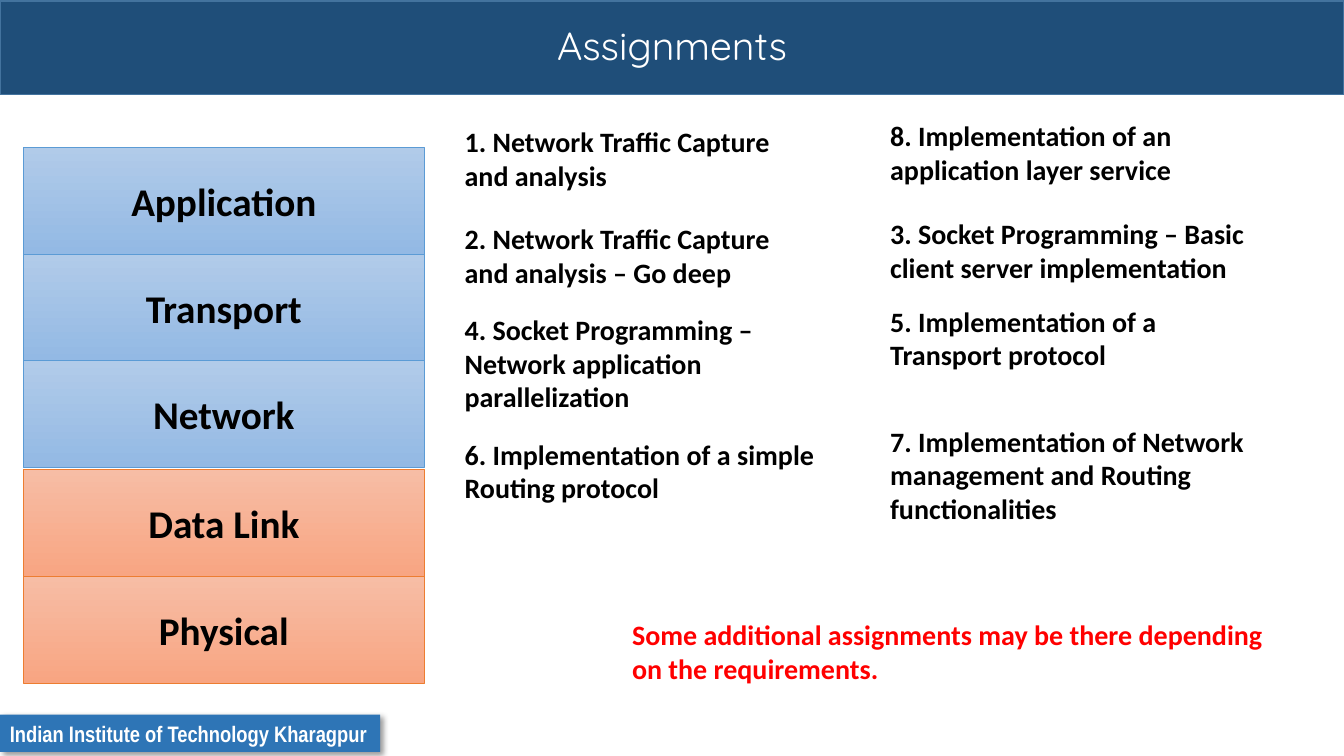
import pptx
import pptx.dml.color
import pptx.enum.shapes
import pptx.enum.text
import pptx.oxml
import pptx.oxml.ns
import pptx.util

Inches = pptx.util.Inches
Pt = pptx.util.Pt
RGBColor = pptx.dml.color.RGBColor
RECTANGLE = pptx.enum.shapes.MSO_SHAPE.RECTANGLE
CENTER = pptx.enum.text.PP_ALIGN.CENTER
MIDDLE = pptx.enum.text.MSO_ANCHOR.MIDDLE

WHITE = RGBColor(0xFF, 0xFF, 0xFF)
BLACK = RGBColor(0x00, 0x00, 0x00)
RED = RGBColor(0xFF, 0x00, 0x00)
BAND_FILL = RGBColor(0x1F, 0x4E, 0x79)
BAND_LINE = RGBColor(0x43, 0x73, 0x9E)
FOOTER_FILL = RGBColor(0x2E, 0x75, 0xB6)
# Gradient top, gradient bottom, outline
BLUE_LAYER = (RGBColor(0xB1, 0xCB, 0xE9), RGBColor(0x93, 0xB9, 0xE4), RGBColor(0x5B, 0x9B, 0xD5))
ORANGE_LAYER = (RGBColor(0xF7, 0xBD, 0xA5), RGBColor(0xF8, 0xA5, 0x82), RGBColor(0xED, 0x7D, 0x31))

UPPER_LAYERS = ["Application", "Transport", "Network"]
LOWER_LAYERS = ["Data Link", "Physical"]
# Each assignment: top, height, text
LEFT_ASSIGNMENTS = [
    (1.19, 0.77, "1. Network Traffic Capture and analysis"),
    (2.15, 0.77, "2. Network Traffic Capture and analysis – Go deep"),
    (3.05, 1.11, "4. Socket Programming – Network application parallelization"),
    (4.29, 0.77, "6. Implementation of a simple Routing protocol"),
]
RIGHT_ASSIGNMENTS = [
    (1.13, 0.77, "8. Implementation of an application layer service"),
    (2.1, 0.77, "3. Socket Programming – Basic client server implementation"),
    (2.97, 0.77, "5. Implementation of a Transport protocol"),
    (4.16, 1.11, "7. Implementation of Network management and Routing functionalities"),
]


def write(frame, text, size, color, font="Calibri", bold=True):
    run = frame.paragraphs[0].add_run()
    run.text = text
    run.font.name = font
    run.font.size = Pt(size)
    run.font.bold = bold
    run.font.color.rgb = color


def add_rectangle(shapes, left, top, width, height):
    rectangle = shapes.add_shape(RECTANGLE, Inches(left), Inches(top), Inches(width), Inches(height))
    rectangle.shadow.inherit = False
    return rectangle


def add_title(slide, left, top, width, height):
    band = add_rectangle(slide.shapes, left, top, width, height)
    band.fill.solid()
    band.fill.fore_color.rgb = BAND_FILL
    band.line.color.rgb = BAND_LINE
    band.line.width = Pt(1)

    title = slide.shapes.title
    title.left, title.top = Inches(left), Inches(top)
    title.width, title.height = Inches(width), Inches(height)
    # Bring the title in front of its band
    band._element.addnext(title._element)
    frame = title.text_frame
    frame.vertical_anchor = MIDDLE
    frame.paragraphs[0].alignment = CENTER
    frame.paragraphs[0].line_spacing = 0.9
    write(frame, "Assignments", 28, WHITE, "Quicksand", False)


def add_footer(slide, left, top, width, height):
    footer = add_rectangle(slide.shapes, left, top, width, height)
    footer.fill.solid()
    footer.fill.fore_color.rgb = FOOTER_FILL
    footer.line.fill.background()
    # Soft shadow to the lower right
    effects = footer._element.spPr.find(pptx.oxml.ns.qn("a:effectLst"))
    effects.append(pptx.oxml.parse_xml(
        f'<a:outerShdw {pptx.oxml.ns.nsdecls("a")} blurRad="{Pt(4)}" dist="{Pt(3)}" dir="2700000" '
        'algn="tl" rotWithShape="0"><a:srgbClr val="000000"><a:alpha val="40000"/></a:srgbClr>'
        '</a:outerShdw>'))
    frame = footer.text_frame
    frame.word_wrap = False
    frame.paragraphs[0].alignment = pptx.enum.text.PP_ALIGN.LEFT
    write(frame, "Indian Institute of Technology Kharagpur", 16, WHITE, "Arial Narrow")


def add_layers(shapes, names, colors, left, top, width, layer_height):
    start, end, outline = colors
    for index, name in enumerate(names):
        layer = add_rectangle(shapes, left, top + index * layer_height, width, layer_height)
        layer.fill.gradient()
        layer.fill.gradient_angle = 270
        for stop, color in zip(layer.fill.gradient_stops, (start, end)):
            stop.color.rgb = color
        layer.line.color.rgb = outline
        layer.line.width = Pt(0.5)
        layer.text_frame.vertical_anchor = MIDDLE
        layer.text_frame.paragraphs[0].alignment = CENTER
        write(layer.text_frame, name, 28, BLACK)


def add_protocol_stack(slide, left, top, width, height):
    gap = 0.02
    layer_height = (height - gap) / (len(UPPER_LAYERS) + len(LOWER_LAYERS))
    lower_top = top + len(UPPER_LAYERS) * layer_height + gap
    stack = slide.shapes.add_group_shape()
    add_layers(stack.shapes, UPPER_LAYERS, BLUE_LAYER, left, top, width, layer_height)
    add_layers(stack.shapes, LOWER_LAYERS, ORANGE_LAYER, left, lower_top, width, layer_height)


def add_note(slide, left, top, width, height, text, color=BLACK):
    note = slide.shapes.add_textbox(Inches(left), Inches(top), Inches(width), Inches(height))
    note.text_frame.word_wrap = True
    write(note.text_frame, text, 20, color)


def add_assignments(slide, left, width, assignments):
    for top, height, text in assignments:
        add_note(slide, left, top, width, height, text)


def main():
    presentation = pptx.Presentation()
    presentation.slide_width = Inches(13.33)
    presentation.slide_height = Inches(7.5)
    slide = presentation.slides.add_slide(presentation.slide_layouts[5])

    add_title(slide, 0, 0.01, 13.33, 0.93)
    add_footer(slide, 0, 7.09, 3.77, 0.37)
    add_protocol_stack(slide, 0.23, 1.46, 3.98, 5.32)
    add_assignments(slide, 4.51, 3.71, LEFT_ASSIGNMENTS)
    add_assignments(slide, 8.73, 3.71, RIGHT_ASSIGNMENTS)
    add_note(slide, 6.17, 6.08, 6.48, 0.77,
             "Some additional assignments may be there depending on the requirements.", RED)

    presentation.save("out.pptx")


if __name__ == "__main__":
    main()
